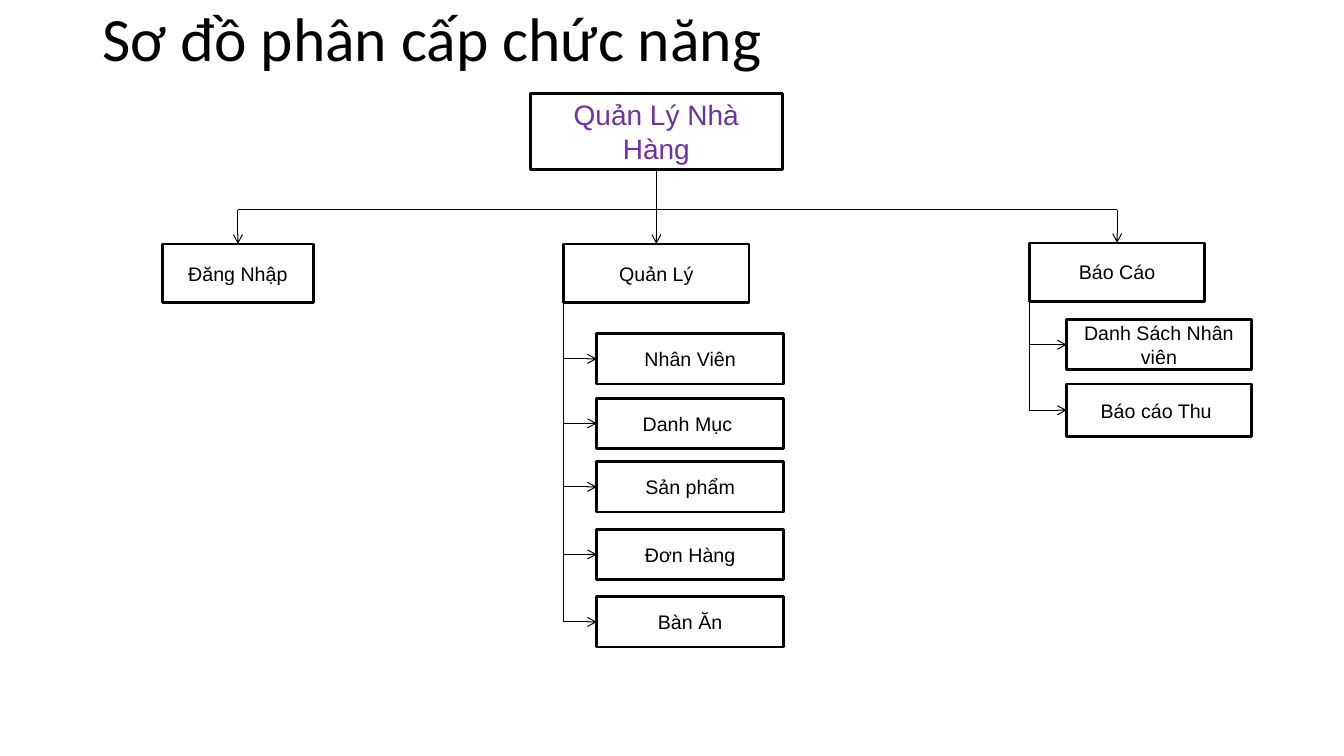
from pptx import Presentation
from pptx.dml.color import RGBColor
from pptx.enum.shapes import MSO_CONNECTOR as LINE, MSO_SHAPE as SHAPE
from pptx.enum.text import MSO_ANCHOR as ANCHOR, PP_ALIGN as ALIGN
from pptx.oxml.ns import qn
from pptx.util import Pt
from lxml.etree import SubElement

TITLE = ("Sơ đồ phân cấp chức năng", (92, 0, 1150, 83))
ROOT = ("Quản Lý Nhà Hàng", (526, 93, 250, 75))
BRANCHES = [
    ("Đăng Nhập", (161, 242, 150, 58), []),
    ("Quản Lý", (559, 242, 184, 58), [
        ("Nhân Viên", (592, 331, 185, 50)),
        ("Danh Mục ", (592, 395, 185, 50)),
        ("Sản phẩm", (592, 458, 185, 50)),
        ("Đơn Hàng", (592, 525, 185, 50)),
        ("Bàn Ăn", (592, 592, 185, 50)),
    ]),
    ("Báo Cáo", (1021, 241, 174, 58), [
        ("Danh Sách Nhân viên", (1058, 317, 183, 50)),
        ("Báo cáo Thu ", (1058, 381, 183, 52)),
    ]),
]
BUS_Y = 208
COLORS = {"ink": "000000", "paper": "FFFFFF", "root": "7030A0"}
PX = 9144
TOP, LEFT, BOTTOM = 0, 1, 2


def emu(*lengths):
    return [round(length * PX) for length in lengths]


def color(name):
    return RGBColor.from_string(COLORS[name])


def write(shape, text, size, font, ink):
    frame = shape.text_frame
    frame.word_wrap = True
    frame.vertical_anchor = ANCHOR.MIDDLE
    paragraph = frame.paragraphs[0]
    paragraph.text = text
    face = paragraph.runs[0].font
    face.size, face.name = Pt(size), font
    face.color.rgb = color(ink)
    return paragraph


def add_box(slide, text, rect, size=14, ink="ink"):
    box = slide.shapes.add_shape(SHAPE.RECTANGLE, *emu(*rect))
    box.shadow.inherit = False
    box.fill.solid()
    box.fill.fore_color.rgb = color("paper")
    box.line.color.rgb = color("ink")
    box.line.width = Pt(2)
    write(box, text, size, "Arial", ink).alignment = ALIGN.CENTER
    return box


def add_line(slide, start, end, arrow=False):
    line = slide.shapes.add_connector(LINE.STRAIGHT, *emu(*start, *end))
    line.line.color.rgb = color("ink")
    line.line.width = Pt(0.75)
    properties = line._element.spPr
    if arrow:
        SubElement(properties.find(qn("a:ln")), qn("a:tailEnd"), type="arrow")
    SubElement(properties, qn("a:effectLst"))
    return line


def center_x(rect):
    return rect[0] + rect[2] / 2


def center_y(rect):
    return rect[1] + rect[3] / 2


def add_title(slide):
    text, rect = TITLE
    title = slide.shapes.add_textbox(*emu(*rect))
    frame = title.text_frame
    frame.margin_left = frame.margin_right = frame.margin_top = frame.margin_bottom = 10 * PX
    write(title, text, 44, "Calibri", "ink").line_spacing = 0.9


def add_root(slide):
    text, rect = ROOT
    root = add_box(slide, text, rect, 20, "root")
    x = center_x(rect)
    stem = add_line(slide, (x, rect[1] + rect[3]), (x, BUS_Y))
    stem.begin_connect(root, BOTTOM)
    ends = [center_x(BRANCHES[i][1]) for i in (0, -1)]
    add_line(slide, (ends[0], BUS_Y), (ends[1], BUS_Y))


def add_branch(slide, text, rect, leaves):
    branch = add_box(slide, text, rect)
    x = center_x(rect)
    drop = add_line(slide, (x, BUS_Y), (x, rect[1]), arrow=True)
    drop.end_connect(branch, TOP)
    rail_x = rect[0]
    if leaves:
        add_line(slide, (rail_x, rect[1] + rect[3]), (rail_x, center_y(leaves[-1][1])))
    for leaf_text, leaf_rect in leaves:
        leaf = add_box(slide, leaf_text, leaf_rect)
        y = center_y(leaf_rect)
        twig = add_line(slide, (rail_x, y), (leaf_rect[0], y), arrow=True)
        twig.end_connect(leaf, LEFT)


def main():
    deck = Presentation()
    deck.slide_width, deck.slide_height = emu(1333, 750)
    slide = deck.slides.add_slide(deck.slide_layouts[6])
    add_title(slide)
    add_root(slide)
    for branch in BRANCHES:
        add_branch(slide, *branch)
    deck.save("out.pptx")


if __name__ == "__main__":
    main()
